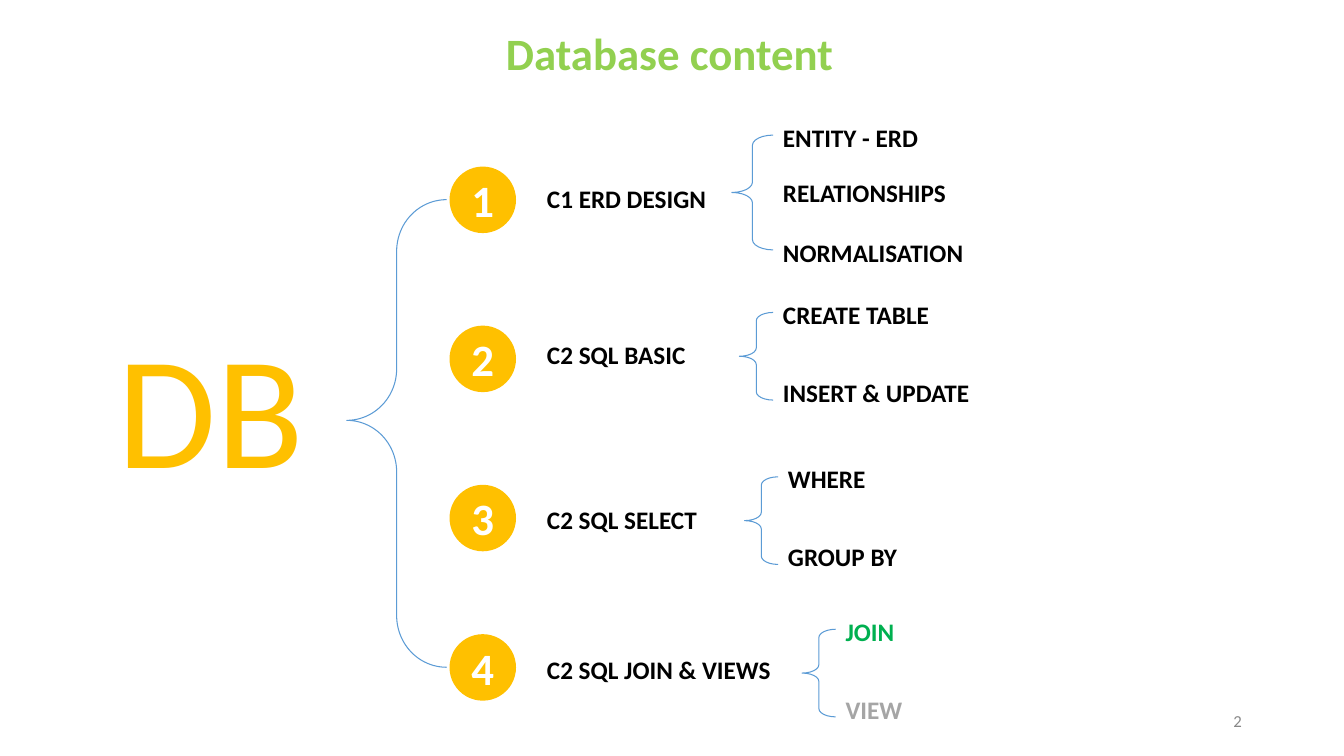
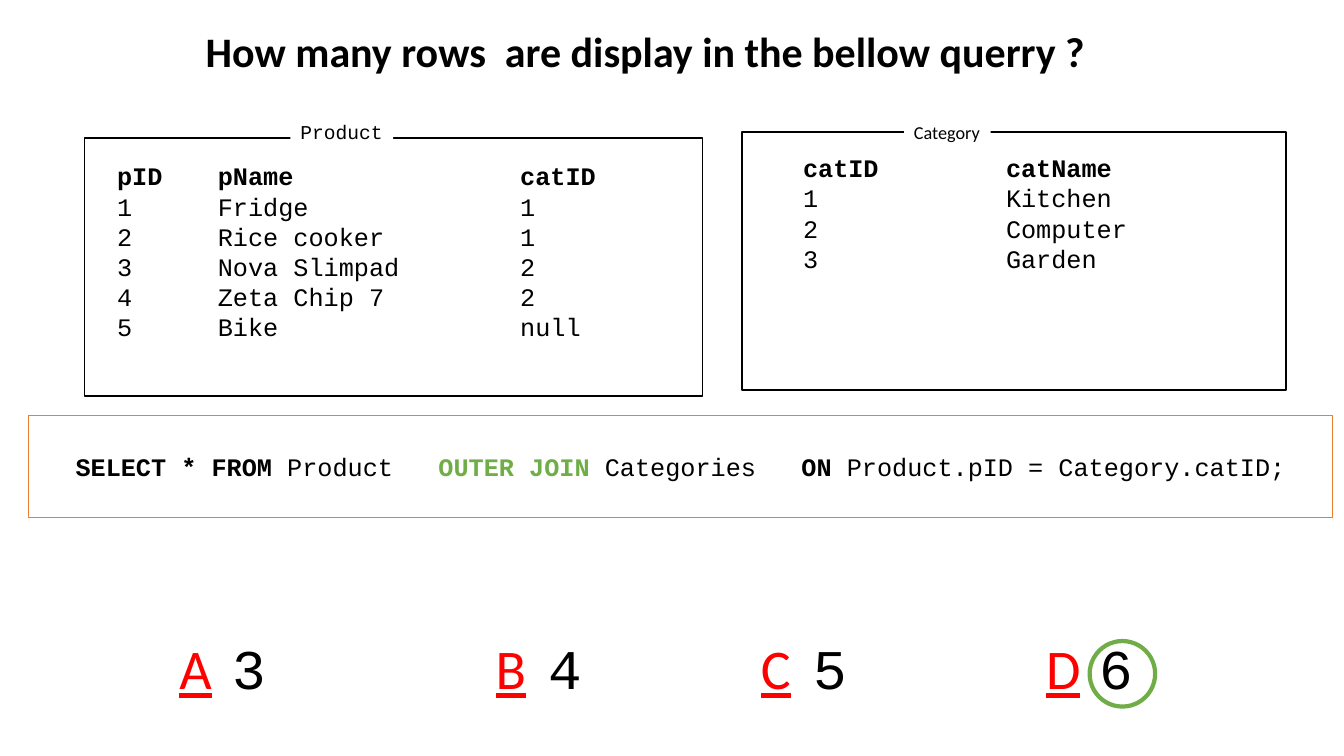
from dataclasses import dataclass
from pptx import Presentation
from pptx.dml.color import RGBColor as RGB
from pptx.enum.shapes import MSO_SHAPE as Form
from pptx.enum.text import MSO_ANCHOR as Anchor, MSO_AUTO_SIZE as Auto, PP_ALIGN as Align
from pptx.util import Pt


@dataclass(frozen=True)
class Theme:
    sans: str = "Calibri"
    mono: str = "Courier New"
    black: str = "000000"
    white: str = "FFFFFF"
    gold: str = "FFC000"
    lime: str = "92D050"
    green: str = "70AD47"
    done: str = "00B050"
    gray: str = "A5A5A5"
    page: str = "888888"
    blue: str = "5B9BD5"
    orange: str = "ED7D31"
    red: str = "FF0000"
    small: float = 12
    tag: float = 14
    body: float = 18
    query: float = 30
    head: float = 32
    answer: float = 40
    hero: float = 115


T = Theme()

# Content: number top, label top, topic left, topics as (text, top, colour)
CHAPTERS = [
    ("C1 ERD DESIGN", 119, 127.4, 552.2, [
        ("ENTITY - ERD", 83.5, T.black),
        ("RELATIONSHIPS", 123, T.black),
        ("NORMALISATION", 166.3, T.black)]),
    ("C2 SQL BASIC", 232.6, 239, 552.2, [
        ("CREATE TABLE", 210.2, T.black),
        ("INSERT & UPDATE", 265.7, T.black)]),
    ("C2 SQL SELECT", 346.3, 357, 555.8, [
        ("WHERE", 327.6, T.black),
        ("GROUP BY", 383, T.black)]),
    ("C2 SQL JOIN & VIEWS", 453, 463.7, 596.9, [
        ("JOIN", 436.5, T.done),
        ("VIEW", 492.3, T.gray)]),
]
# Brace width and height by number of topics
BRACES = {2: (24, 62.6), 3: (29.5, 82)}

# Each table: name, name box, name font and size, frame, place, column widths, rows
TABLES = [
    ("Product", (207.4, 82.1, 73.4, 24.5), T.mono, T.tag,
     (60.5, 98.7, 441.4, 184.3), (83.6, 116.5), (72, 216, 90),
     [("pID", "pName", "catID"),
      ("1", "Fridge", "1"),
      ("2", "Rice cooker", "1"),
      ("3", "Nova Slimpad", "2"),
      ("4", "Zeta Chip 7", "2"),
      ("5", "Bike", "null")]),
    ("Category", (645.8, 82.8, 61.9, 23), T.sans, T.tag - 1,
     (529.9, 94.3, 388.8, 184.3), (573.6, 110.7), (145, 120),
     [("catID", "catName"),
      ("1", "Kitchen"),
      ("2", "Computer"),
      ("3", "Garden")]),
]
ROW = 21.6

# Query parts: text, colour, bold
QUERY = [
    ("SELECT * FROM", T.black, True),
    (" Product   ", T.black, False),
    ("OUTER JOIN ", T.green, True),
    ("Categories   ", T.black, False),
    ("ON", T.black, True),
    (" Product.pID = Category.catID;", T.black, False),
]
ANSWERS = [("A", "3", 121), ("B", "4", 347), ("C", "5", 536.4), ("D", "6", 740.2)]


# Shared helpers
def pts(*nums):
    return [Pt(n) for n in nums]


def style(run, size, color, bold=False, face=T.sans, under=False):
    font = run.font
    font.name, font.size, font.bold = face, Pt(size), bold
    font.color.rgb = RGB.from_string(color)
    if under:
        font.underline = True


def write(shape, text, size, color, align=Align.LEFT, anchor=Anchor.TOP, **look):
    frame = shape.text_frame
    frame.word_wrap, frame.auto_size = True, Auto.NONE
    frame.vertical_anchor = anchor
    frame.text = text
    para = frame.paragraphs[0]
    para.alignment = align
    style(para.runs[0], size, color, **look)


def label(slide, text, box, size, color, **look):
    write(slide.shapes.add_textbox(*pts(*box)), text, size, color, **look)


def draw(slide, form, box, fill=None, line=None, width=1):
    shape = slide.shapes.add_shape(form, *pts(*box))
    shape.shadow.inherit = False
    if fill:
        shape.fill.solid()
        shape.fill.fore_color.rgb = RGB.from_string(fill)
    else:
        shape.fill.background()
    if line:
        shape.line.color.rgb = RGB.from_string(line)
        shape.line.width = Pt(width)
    else:
        shape.line.fill.background()
    return shape


def brace(slide, box, curve, mid):
    shape = draw(slide, Form.LEFT_BRACE, box, line=T.blue, width=0.75)
    shape.adjustments[0], shape.adjustments[1] = curve, mid


def start(deck, text, box, size, color):
    slide = deck.slides.add_slide(deck.slide_layouts[5])
    title = slide.shapes.title
    title.left, title.top, title.width, title.height = pts(*box)
    write(title, text, size, color, bold=True)
    return slide


def grid(slide, spot, cols, rows):
    table = slide.shapes.add_table(
        len(rows), len(cols), *pts(*spot, sum(cols), ROW * len(rows))).table
    table.first_row = table.horz_banding = False
    for col, wide in zip(table.columns, cols):
        col.width = Pt(wide)
    for r, row in enumerate(rows):
        table.rows[r].height = Pt(ROW)
        for c, text in enumerate(row):
            cell = table.cell(r, c)
            cell.fill.background()
            cell.margin_left = cell.margin_right = 0
            cell.margin_top = cell.margin_bottom = 0
            cell.vertical_anchor = Anchor.BOTTOM
            cell.text = text
            style(cell.text_frame.paragraphs[0].runs[0],
                  T.body, T.black, bold=r == 0, face=T.mono)


def outline(deck):
    slide = start(deck, "Database content", (354.2, 15, 280, 46), T.head, T.lime)
    label(slide, "DB", (77, 216, 170.6, 147), T.hero, T.gold)
    brace(slide, (247.7, 142.6, 71.3, 334), 0.517, 0.472)
    left = 383.6
    for num, (name, top, base, edge, topics) in enumerate(CHAPTERS, 1):
        # Numbered chapter
        disc = draw(slide, Form.OVAL, (321.1, top, 47.5, 47.5), T.gold)
        write(disc, str(num), T.head, T.white, align=Align.CENTER,
              anchor=Anchor.MIDDLE, bold=True)
        wide, high = BRACES[len(topics)]
        label(slide, name, (left, base, edge - wide - left, 29),
              T.body, T.black, bold=True)
        # Its topics
        brace(slide, (edge - wide, topics[0][1] + 13, wide, high), 0.248, 0.5)
        for text, y, color in topics:
            label(slide, text, (edge, y, 162.7, 29), T.body, color, bold=True)
    label(slide, "2", (678.2, 500.4, 216, 28.8), T.small, T.page,
          align=Align.RIGHT, anchor=Anchor.MIDDLE)


def quiz(deck):
    slide = start(deck, "How many rows  are display in the bellow querry ?",
                  (139.7, 14.4, 648.7, 44), T.query, T.black)
    # Framed tables
    for name, tab, face, size, frame, spot, cols, rows in TABLES:
        draw(slide, Form.RECTANGLE, frame, line=T.black)
        write(draw(slide, Form.RECTANGLE, tab, T.white), name, size, T.black, face=face)
        grid(slide, spot, cols, rows)
    # Query
    box = draw(slide, Form.RECTANGLE, (20.2, 296.8, 931.7, 72.7), T.white, T.orange)
    frame = box.text_frame
    frame.word_wrap, frame.vertical_anchor = True, Anchor.MIDDLE
    para = frame.paragraphs[0]
    para.alignment = Align.CENTER
    for text, color, bold in QUERY:
        run = para.add_run()
        run.text = text
        style(run, T.body, color, bold, T.mono)
    # Answers, the right one ringed
    for key, value, x in ANSWERS:
        label(slide, key, (x, 449.3, 38, 55.4), T.answer, T.red, under=True)
        label(slide, value, (x + 37.8, 449.3, 39, 55.4), T.answer, T.black, face=T.mono)
    draw(slide, Form.OVAL, (x + 38.1, 457.9, 46.8, 46.8), line=T.green, width=3)


def main():
    deck = Presentation()
    deck.slide_width, deck.slide_height = pts(960, 540)
    outline(deck)
    quiz(deck)
    deck.save("out.pptx")


if __name__ == "__main__":
    main()
